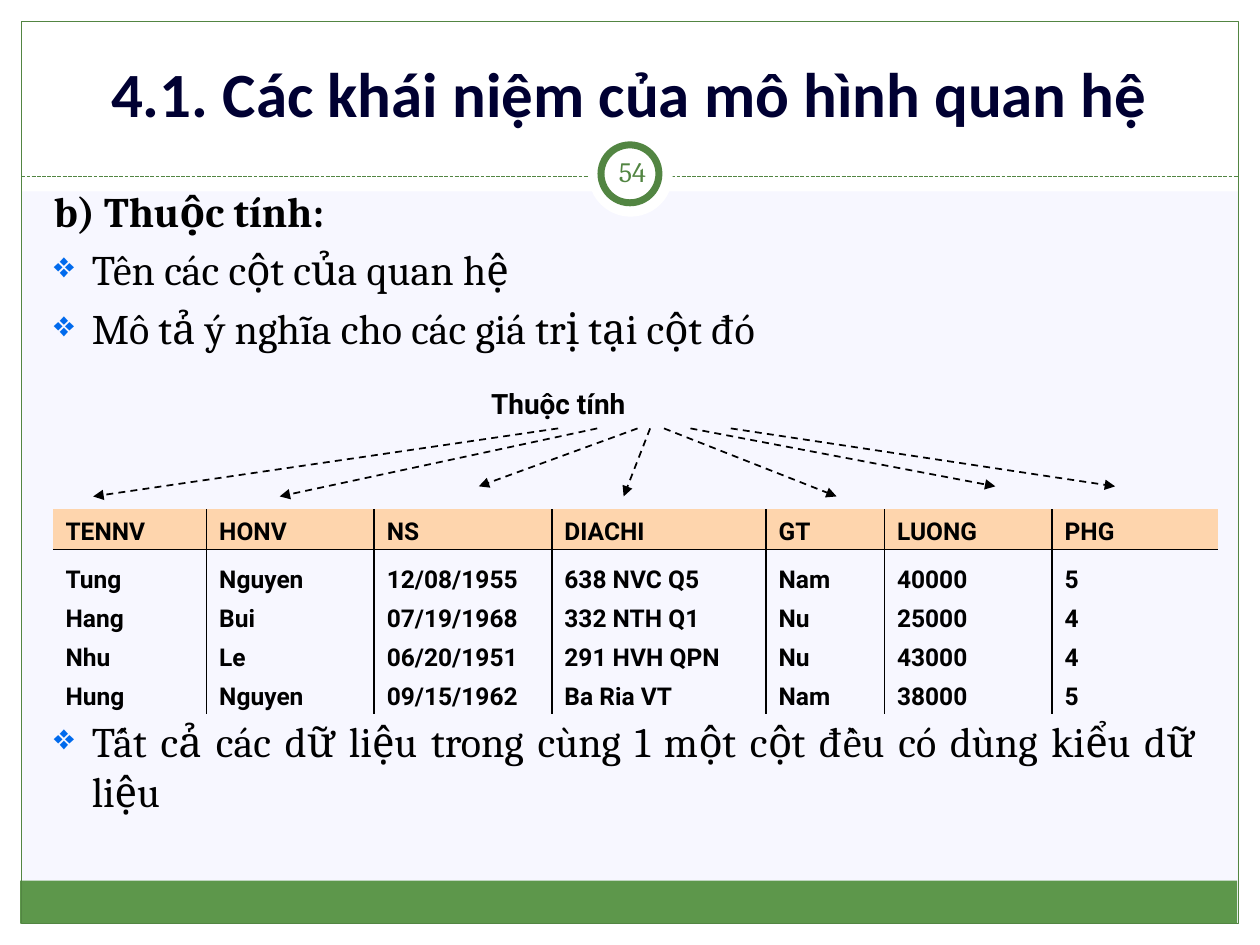
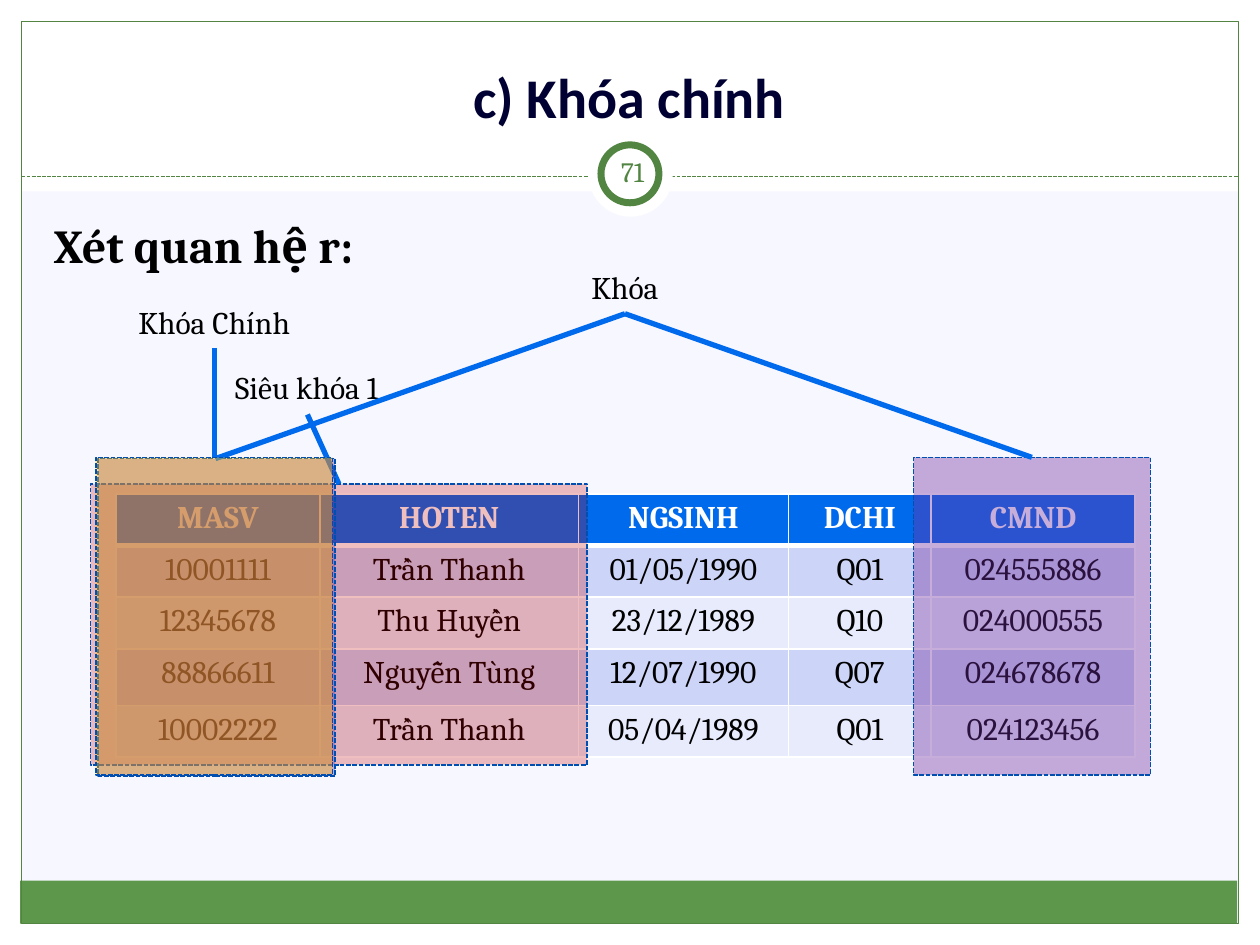
from lxml import etree
from pptx import Presentation
from pptx.dml.color import RGBColor
from pptx.enum.dml import MSO_LINE
from pptx.enum.shapes import MSO_CONNECTOR, MSO_SHAPE
from pptx.enum.text import MSO_ANCHOR, PP_ALIGN
from pptx.oxml.ns import qn
from pptx.util import Inches, Pt

WHITE = RGBColor(0xFF, 0xFF, 0xFF)
BLACK = RGBColor(0, 0, 0)
PAPER = RGBColor(0xF7, 0xF7, 0xFF)
GREEN = RGBColor(0x52, 0x85, 0x42)
BAND_GREEN = RGBColor(0x5D, 0x97, 0x4B)
NAVY = RGBColor(0x00, 0x00, 0x32)
BLUE = RGBColor(0x00, 0x6A, 0xED)
DARK_BLUE = RGBColor(0x00, 0x4E, 0xAF)
PEACH = RGBColor(0xFE, 0xD5, 0xAD)
ROW_DARK = RGBColor(0xCC, 0xD4, 0xF8)
ROW_LIGHT = RGBColor(0xE7, 0xEB, 0xFC)
RED = RGBColor(0xC0, 0, 0)
PURPLE = RGBColor(0x70, 0x30, 0xA0)
AMBER = RGBColor(0xFF, 0xC0, 0x00)

RECT, OVAL = MSO_SHAPE.RECTANGLE, MSO_SHAPE.OVAL
STRAIGHT = MSO_CONNECTOR.STRAIGHT
DASH, SYS_DASH = MSO_LINE.DASH, MSO_LINE.SQUARE_DOT
LEFT, CENTER, JUSTIFY = PP_ALIGN.LEFT, PP_ALIGN.CENTER, PP_ALIGN.JUSTIFY
TOP, MIDDLE, BOTTOM = MSO_ANCHOR.TOP, MSO_ANCHOR.MIDDLE, MSO_ANCHOR.BOTTOM
SERIF, SANS, TITLE_FONT = "Cambria", "Roboto", "Calibri"


def add_run(p, text, size, font=SERIF, color=BLACK, bold=False):
    r = p.add_run()
    r.text = text
    r.font.size, r.font.name, r.font.bold = Pt(size), font, bold
    r.font.color.rgb = color


def add_box(s, x, y, w, h, anchor=TOP):
    tf = s.shapes.add_textbox(Inches(x), Inches(y), Inches(w), Inches(h)).text_frame
    tf.word_wrap = True
    tf.vertical_anchor = anchor
    return tf


def add_label(s, x, y, w, h, text, size, align=CENTER, anchor=TOP, **style):
    tf = add_box(s, x, y, w, h, anchor)
    p = tf.paragraphs[0]
    p.alignment = align
    add_run(p, text, size, **style)
    return tf


def add_panel(s, kind, x, y, w, h, fill=None, line=None, width=0.75, dash=None, alpha=None):
    sp = s.shapes.add_shape(kind, Inches(x), Inches(y), Inches(w), Inches(h))
    sp.shadow.inherit = False
    if fill is None:
        sp.fill.background()
    else:
        sp.fill.solid()
        sp.fill.fore_color.rgb = fill
    if alpha is not None:
        clr = sp._element.spPr.find(qn("a:solidFill"))[0]
        etree.SubElement(clr, qn("a:alpha"), val=str(alpha * 1000))
    if line is None:
        sp.line.fill.background()
    else:
        sp.line.color.rgb, sp.line.width = line, Pt(width)
        if dash:
            sp.line.dash_style = dash


def add_line(s, start, end, color, width, dash=None, arrow=False):
    c = s.shapes.add_connector(STRAIGHT, *(Inches(v) for v in (*start, *end)))
    c.line.color.rgb, c.line.width = color, Pt(width)
    if dash:
        c.line.dash_style = dash
    spPr = c._element.spPr
    if arrow:
        etree.SubElement(spPr.find(qn("a:ln")), qn("a:tailEnd"), type="triangle")
    etree.SubElement(spPr, qn("a:effectLst"))


def set_borders(cell, **sides):
    """Each side (L, R, T, B) is a (color, width) pair, or missing for no line."""
    tcPr = cell._tc.get_or_add_tcPr()
    for side in "LRTB":
        color, width = sides.get(side, (None, 1))
        ln = etree.SubElement(tcPr, qn("a:ln" + side), w=str(Pt(width)))
        if color is None:
            etree.SubElement(ln, qn("a:noFill"))
        else:
            fill = etree.SubElement(ln, qn("a:solidFill"))
            etree.SubElement(fill, qn("a:srgbClr"), val=str(color))


def add_grid(s, x, y, widths, heights):
    frame = s.shapes.add_table(len(heights), len(widths), Inches(x), Inches(y),
                               Inches(sum(widths)), Inches(sum(heights)))
    tbl = frame.table
    for col, w in zip(tbl.columns, widths):
        col.width = Inches(w)
    for row, h in zip(tbl.rows, heights):
        row.height = Inches(h)
    return tbl


def add_bullet(p):
    pPr = p._p.get_or_add_pPr()
    pPr.set("marL", str(Inches(0.3)))
    pPr.set("indent", str(-Inches(0.3)))
    clr = etree.SubElement(pPr, qn("a:buClr"))
    etree.SubElement(clr, qn("a:srgbClr"), val=str(BLUE))
    etree.SubElement(pPr, qn("a:buSzPct"), val="85000")
    etree.SubElement(pPr, qn("a:buChar"), char="❖")


def base_slide(prs, title, title_size, number):
    s = prs.slides.add_slide(prs.slide_layouts[6])
    s.background.fill.solid()
    s.background.fill.fore_color.rgb = PAPER
    # White margins, footer band and frame
    for box in ((0, 7.33, 10, 0.17), (0, 0, 10, 1.52), (0, 0, 0.17, 7.5), (9.83, 0, 0.17, 7.5)):
        add_panel(s, RECT, *box, fill=WHITE)
    add_panel(s, RECT, 0.16, 6.99, 9.66, 0.34, fill=BAND_GREEN)
    add_panel(s, RECT, 0.17, 0.17, 9.66, 7.16, line=GREEN)
    add_line(s, (0.17, 1.4), (9.83, 1.4), GREEN, 0.75, SYS_DASH)
    # Number badge
    add_panel(s, OVAL, 4.67, 1.05, 0.67, 0.67, fill=WHITE)
    add_panel(s, OVAL, 4.77, 1.15, 0.46, 0.46, fill=WHITE, line=GREEN, width=4)
    add_label(s, 0.33, 0.25, 9.33, 0.83, title, title_size, anchor=BOTTOM,
              font=TITLE_FONT, color=NAVY, bold=True)
    tf = add_label(s, 4.77, 1.12, 0.5, 0.48, number, 16, anchor=MIDDLE, color=GREEN)
    tf.margin_left = tf.margin_right = Inches(0.05)
    return s


def employee_table(s, x, y):
    widths = [1.22, 1.33, 1.41, 1.7, 0.94, 1.33, 1.32]
    rows = [
        ["TENNV", "HONV", "NS", "DIACHI", "GT", "LUONG", "PHG"],
        ["Tung", "Nguyen", "12/08/1955", "638 NVC Q5", "Nam", "40000", "5"],
        ["Hang", "Bui", "07/19/1968", "332 NTH Q1", "Nu", "25000", "4"],
        ["Nhu", "Le", "06/20/1951", "291 HVH QPN", "Nu", "43000", "4"],
        ["Hung", "Nguyen", "09/15/1962", "Ba Ria VT", "Nam", "38000", "5"],
    ]
    tbl = add_grid(s, x, y, widths, [0.32, 0.38, 0.31, 0.31, 0.31])
    rule = (BLACK, 1)
    for i, row in enumerate(rows):
        for j, text in enumerate(row):
            cell = tbl.cell(i, j)
            sides = {}
            if j > 0:
                sides["L"] = rule
            if j < len(row) - 1:
                sides["R"] = rule
            if i < 2:
                sides["B" if i == 0 else "T"] = rule
            set_borders(cell, **sides)
            if i == 0:
                cell.fill.solid()
                cell.fill.fore_color.rgb = PEACH
            else:
                cell.fill.background()
            cell.margin_top = cell.margin_bottom = Inches(0.02)
            cell.vertical_anchor = BOTTOM
            add_run(cell.text_frame.paragraphs[0], text, 14, SANS, bold=True)


def attribute_arrows(s, x, y):
    add_label(s, x, y, 2.74, 0.33, "Thuộc tính", 16, LEFT, font=SANS, bold=True)
    # Start x, end x and drop of each arrow
    for start, end, drop in ((0.63, -3.06, 0.54), (0.94, -1.58, 0.54), (1.26, 0, 0.46),
                             (1.36, 1.15, 0.54), (1.47, 2.84, 0.54), (1.68, 4.1, 0.46),
                             (2, 5.05, 0.46)):
        add_line(s, (x + start, y + 0.38), (x + end, y + 0.38 + drop), BLACK, 1, DASH, True)


def attributes_slide(prs):
    s = base_slide(prs, "4.1. Các khái niệm của mô hình quan hệ", 36, "54")
    # Definition
    tf = add_box(s, 0.33, 1.42, 9.25, 1.5)
    add_run(tf.paragraphs[0], "b) Thuộc tính:", 24, bold=True)
    for text in ("Tên các cột của quan hệ", "Mô tả ý nghĩa cho các giá trị tại cột đó"):
        p = tf.add_paragraph()
        p.space_before = Pt(4.8)
        add_bullet(p)
        add_run(p, text, 24)
    # Closing remark
    tf = add_label(s, 0.33, 5.63, 9.25, 0.95,
                   "Tất cả các dữ liệu trong cùng 1 một cột đều có dùng kiểu dữ liệu", 24, JUSTIFY)
    add_bullet(tf.paragraphs[0])
    employee_table(s, 0.42, 4.04)
    attribute_arrows(s, 3.8, 3.02)


def student_table(s, x, y):
    rows = [
        ["MASV", "HOTEN", "NGSINH", "DCHI", "CMND"],
        ["10001111", "Trần Thanh", "01/05/1990", "Q01", "024555886"],
        ["12345678", "Thu Huyền", "23/12/1989", "Q10", "024000555"],
        ["88866611", "Nguyễn Tùng", "12/07/1990", "Q07", "024678678"],
        ["10002222", "Trần Thanh", "05/04/1989", "Q01", "024123456"],
    ]
    tbl = add_grid(s, x, y, [1.62, 2.05, 1.67, 1.13, 1.62], [0.41, 0.41, 0.41, 0.45, 0.41])
    thin, thick = (WHITE, 1), (WHITE, 3)
    for i, row in enumerate(rows):
        head = i == 0
        for j, text in enumerate(row):
            cell = tbl.cell(i, j)
            set_borders(cell, L=thin, R=thin, T=thick if i == 1 else thin,
                        B=thick if head else thin)
            cell.fill.solid()
            cell.fill.fore_color.rgb = BLUE if head else (ROW_LIGHT, ROW_DARK)[i % 2]
            p = cell.text_frame.paragraphs[0]
            p.alignment = CENTER
            add_run(p, text, 18, color=WHITE if head else BLACK, bold=head)


def key_area(s, x, y, w, h, color, alpha):
    add_panel(s, RECT, x, y, w, h, color, DARK_BLUE, 0.9, SYS_DASH, alpha)


def key_marks(s, x, y):
    """Key highlights, measured from the top left of the table."""
    # Superkey
    key_area(s, x - 0.2, y - 0.08, 3.94, 2.23, RED, 25)
    add_label(s, x + 0.49, y - 1.05, 2.05, 0.42, "Siêu khóa 1", 18)
    add_line(s, (x + 1.77, y - 0.08), (x + 1.52, y - 0.63), BLUE, 3)
    # Candidate keys
    apex = (x + 4.04, y - 1.43)
    for left, top in ((-0.14, -0.28), (6.33, -0.29)):
        key_area(s, x + left, y + top, 1.88, 2.52, PURPLE, 39)
    for foot in ((0.79, -0.28), (7.27, -0.29)):
        add_line(s, (x + foot[0], y + foot[1]), apex, BLUE, 3)
    add_label(s, x + 3.25, y - 1.84, 1.58, 0.4, "Khóa", 18)
    # Primary key
    key_area(s, x - 0.16, y - 0.29, 1.88, 2.52, AMBER, 39)
    add_line(s, (x + 0.78, y - 0.29), (x + 0.78, y - 1.16), BLUE, 3)
    add_label(s, x - 0.01, y - 1.56, 1.58, 0.4, "Khóa Chính", 18)


def primary_key_slide(prs):
    s = base_slide(prs, "c) Khóa chính", 32, "71")
    add_label(s, 0.33, 1.67, 9.3, 0.6, "Xét quan hệ r:", 27, LEFT, bold=True)
    student_table(s, 0.92, 3.92)
    key_marks(s, 0.92, 3.92)


def main():
    prs = Presentation()
    prs.slide_width, prs.slide_height = Inches(10), Inches(7.5)
    attributes_slide(prs)
    primary_key_slide(prs)
    prs.save("out.pptx")


if __name__ == "__main__":
    main()
